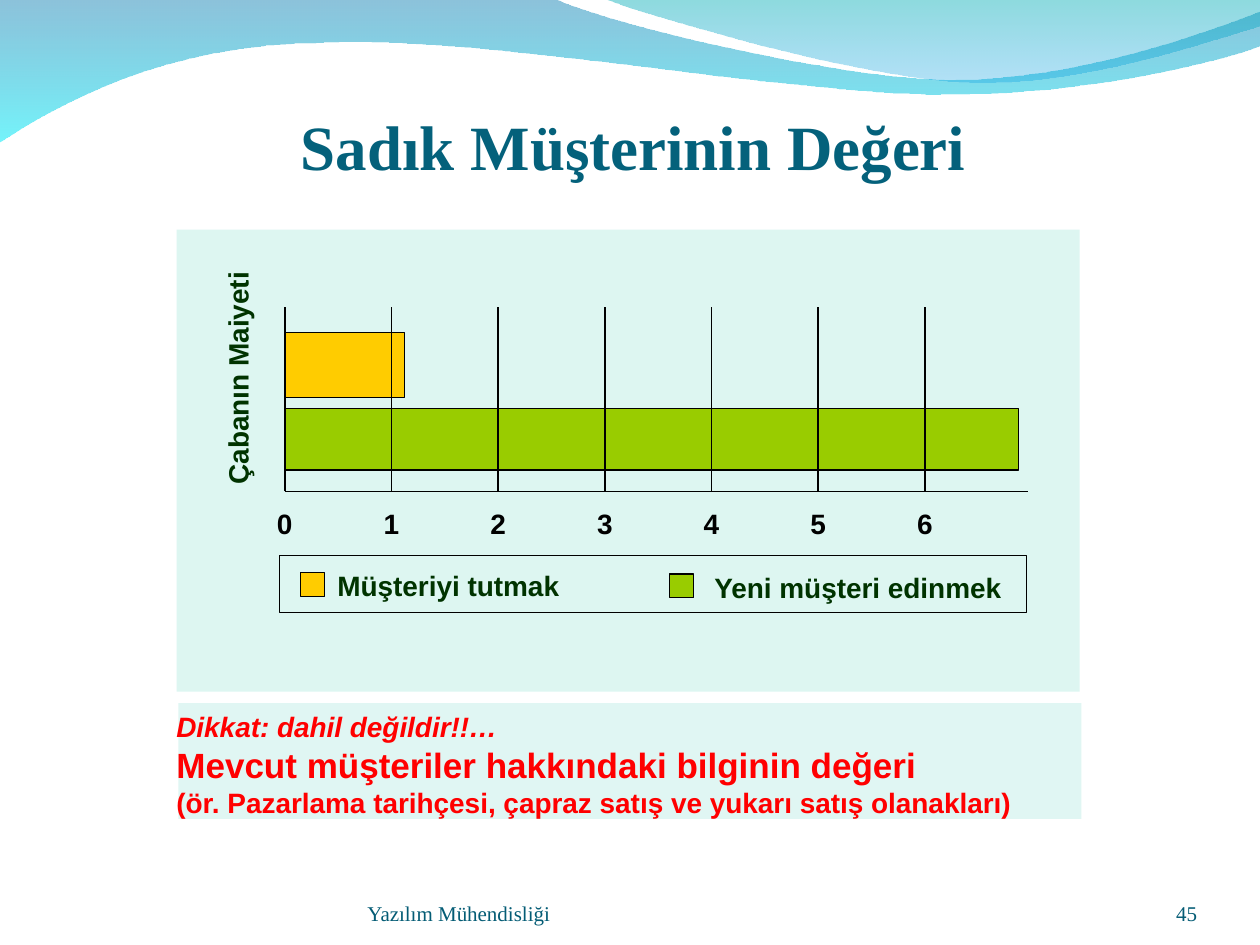
from lxml import etree
from pptx import Presentation
from pptx.dml.color import RGBColor
from pptx.enum import shapes, text
from pptx.oxml.ns import qn
from pptx.util import Pt

# Content
TITLE = "Sadık Müşterinin Değeri"
FOOTER, PAGE = "Yazılım Mühendisliği", "45"
AXIS_TITLE = "Çabanın Maiyeti"
# name, value, colour, bar top, bar height, swatch left, label left, label width
SERIES = [
    ("Müşteriyi tutmak", 1.12, "amber", 190, 37.3, 171.6, 192.8, 127),
    ("Yeni müşteri edinmek", 6.88, "lime", 233.3, 35.3, 382.7, 408.2, 167),
]
TICKS = range(7)
# text, size, italic
NOTE = [
    ("Dikkat: dahil değildir!!…", 16, True),
    ("Mevcut müşteriler hakkındaki bilginin değeri", 20, False),
    ("(ör. Pazarlama tarihçesi, çapraz satış ve yukarı satış olanakları)", 16, False),
]
C = {
    "black": "000000", "amber": "FFCC00", "lime": "99CC00", "label": "003300",
    "panel": "85DFD0", "red": "FF0000", "title": "04617B", "footer": "045C75",
}
SANS, SERIF = "Arial", "Times New Roman"
# Waves: gradient stops (colour, opacity %), start point, then lines (1 point)
# and Bézier curves (2 control points and the end)
WAVES = [
    ([("0079AF", 45), ("00EBF8", 55)], (0, -0.7), [
        [(316.8, -0.7)],
        [(342.7, 12.2), (478.1, 45.4), (545.8, 45.4)],
        [(614.2, 45.4), (689.8, 18.7), (720, 6.5)],
        [(720.7, 25.9)],
        [(707.8, 31.7), (626.4, 54.7), (537.1, 54)],
        [(447.8, 54), (275, 20.2), (185, 24.5)],
        [(92.9, 25.2), (33.1, 59.8), (-0.7, 81.4)]]),
    ([("00ADB6", 45), ("009BE5", 30)], (344.9, -0.7), [
        [(366.5, 7.9), (491, 44.6), (553.7, 46.8)],
        [(616.3, 49.7), (691.9, 23), (720, 15.1)],
        [(720, 0)]]),
]
# Chart geometry
X0, UNIT, AXIS_Y, AXIS_END = 162.7, 60.96, 280.8, 587.5
GRID_TOP, TICK_TOP, LEGEND_TOP = 175.5, 289.3, 317.5

prs = Presentation()
prs.slide_width, prs.slide_height = Pt(720), Pt(540)
slide = prs.slides.add_slide(prs.slide_layouts[6])


def rgb(name):
    return RGBColor.from_string(C[name])


def set_alpha(color, percent):
    etree.SubElement(color, qn("a:alpha"), val=str(percent * 1000))


def add_rect(x, y, w, h, fill=None, line=None, alpha=None):
    sp = slide.shapes.add_shape(shapes.MSO_SHAPE.RECTANGLE, Pt(x), Pt(y), Pt(w), Pt(h))
    sp.shadow.inherit = False
    if fill:
        sp.fill.solid()
        sp.fill.fore_color.rgb = rgb(fill)
        if alpha:
            set_alpha(sp._element.spPr.find(".//" + qn("a:srgbClr")), alpha)
    else:
        sp.fill.background()
    if line:
        sp.line.color.rgb = rgb(line)
        sp.line.width = Pt(0.62)
    else:
        sp.line.fill.background()


def add_line(x1, y1, x2, y2):
    ln = slide.shapes.add_connector(
        shapes.MSO_CONNECTOR.STRAIGHT, Pt(x1), Pt(y1), Pt(x2), Pt(y2))
    ln.line.color.rgb = rgb("black")
    ln.line.width = Pt(1)
    etree.SubElement(ln._element.spPr, qn("a:effectLst"))


def style(r, size, color, font=SANS, bold=True, italic=False):
    r.font.size, r.font.name = Pt(size), font
    r.font.bold, r.font.italic = bold, italic
    r.font.color.rgb = rgb(color)


def add_text(words, x, y, w, h, size=16, color="label", font=SANS, bold=True,
             align="LEFT", anchor="TOP", wrap=False):
    tb = slide.shapes.add_textbox(Pt(x), Pt(y), Pt(w), Pt(h))
    tf = tb.text_frame
    tf.margin_left = tf.margin_right = tf.margin_top = tf.margin_bottom = 0
    tf.word_wrap = wrap
    tf.vertical_anchor = text.MSO_ANCHOR[anchor]
    tf.text = words
    for p in tf.paragraphs:
        p.alignment = text.PP_ALIGN[align]
        for r in p.runs:
            style(r, size, color, font, bold)
    return tb


def add_wave(stops, start, segments):
    fb = slide.shapes.build_freeform(Pt(start[0]), Pt(start[1]))
    fb.add_line_segments([(Pt(x), Pt(y)) for seg in segments for x, y in seg], close=True)
    sp = fb.convert_to_shape()
    # Merge each run of three line points into one Bézier curve
    lines = sp._element.spPr.iter(qn("a:lnTo"))
    lines = iter(list(lines))
    for seg in segments:
        group = [next(lines) for _ in seg]
        if len(group) == 3:
            bezier = etree.Element(qn("a:cubicBezTo"))
            group[0].addprevious(bezier)
            for ln in group:
                bezier.append(ln[0])
                ln.getparent().remove(ln)
    sp.shadow.inherit = False
    sp.line.fill.background()
    sp.fill.gradient()
    sp.fill.gradient_angle = 270
    for stop, (color, _) in zip(sp.fill.gradient_stops, stops):
        stop.color.rgb = RGBColor.from_string(color)
    for el, (_, alpha) in zip(sp._element.spPr.iter(qn("a:srgbClr")), stops):
        set_alpha(el, alpha)


# Wave decoration
for wave in WAVES:
    add_wave(*wave)

# Footer and page number
add_text(FOOTER, 210, 500.4, 264, 28.8, 12, "footer", SERIF, False, anchor="BOTTOM", wrap=True)
add_text(PAGE, 624, 500.4, 60, 28.8, 12, "footer", SERIF, False, "RIGHT", "BOTTOM", True)

# Panels
add_rect(102, 401.8, 516, 66.2, "panel", alpha=25)
add_rect(101, 131.2, 516, 264, "panel", alpha=28)

# Legend frame, then swatch, label and bar of each series
add_rect(159.8, LEGEND_TOP, 427, 32.4, line="black")
for i, (name, value, color, top, height, swatch_x, label_x, label_w) in enumerate(SERIES):
    add_rect(swatch_x, LEGEND_TOP + 9.8 + i * 0.7, 13.7, 13.7, color, "black")
    add_text(name, label_x, LEGEND_TOP + 7.2 + i * 1.4, label_w, 19.4)
    add_rect(X0, top, value * UNIT, height, color, "black")

# Axes, grid lines and tick labels
grid = [X0 + n * UNIT for n in TICKS]
add_line(X0, AXIS_Y, AXIS_END, AXIS_Y)
for x in grid:
    add_line(x, GRID_TOP, x, AXIS_Y)
for n, x in zip(TICKS, grid):
    add_text(str(n), x - 4.4, TICK_TOP, 8.8, 19.4, color="black")
add_text(AXIS_TITLE, 75, 206.3, 121.7, 19.4).rotation = 270

# Note: a line break after the first line, then a new paragraph
first, second, third = (line[0] for line in NOTE)
note = add_text(f"{first}\v{second}\n{third}", 100.8, 405.6, 498, 62.6, wrap=True)
runs = [r for p in note.text_frame.paragraphs for r in p.runs]
for r, (_, size, italic) in zip(runs, NOTE):
    style(r, size, "red", italic=italic)

# Title
add_text(TITLE, 113, 38.2, 498, 90, 36, "title", SERIF, True, "CENTER", "MIDDLE", True)

prs.save("out.pptx")
